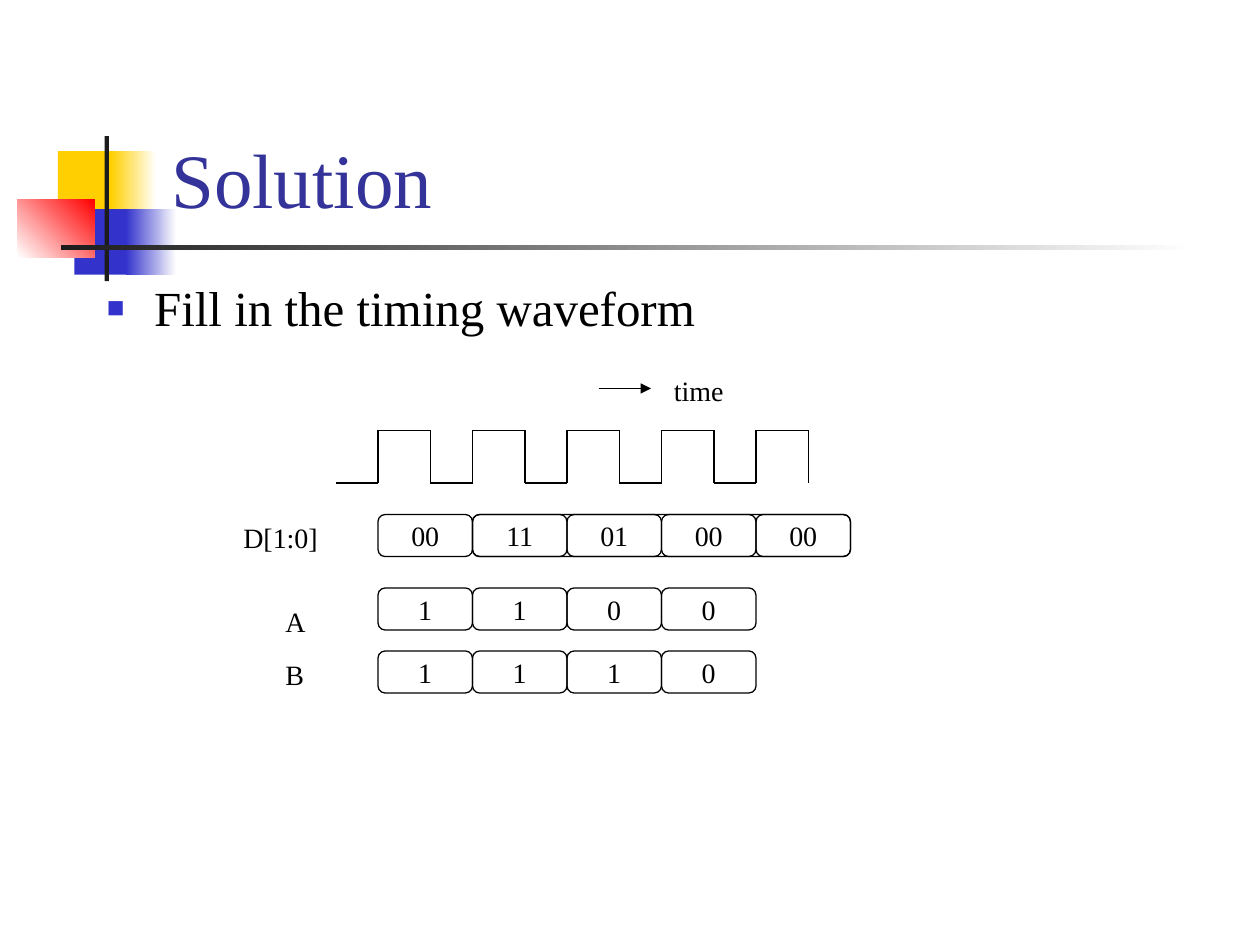
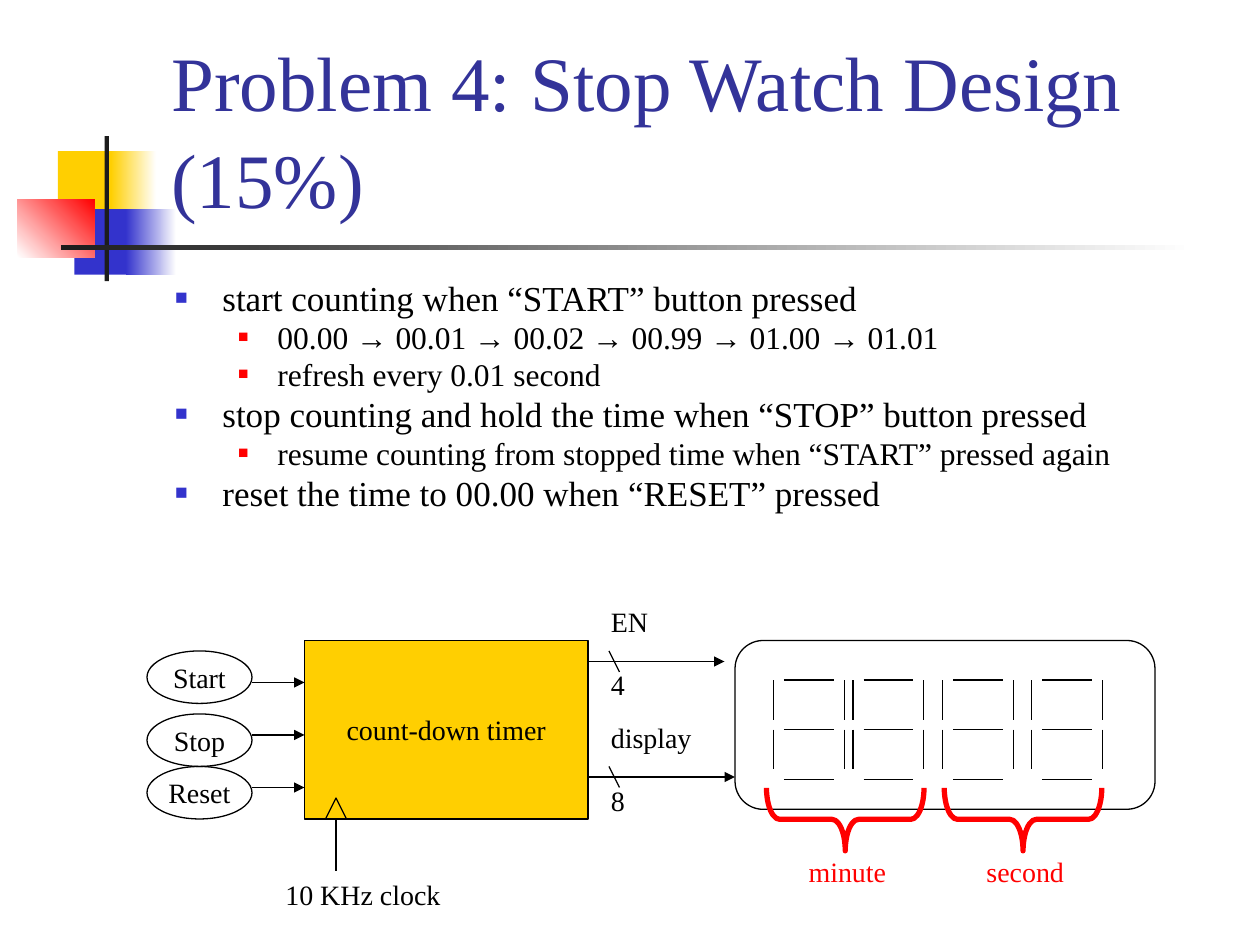
import itertools
import pptx
import pptx.util
import pptx.dml.color
import pptx.enum.shapes
import pptx.enum.text
import pptx.oxml.ns
import lxml.etree

Pt = pptx.util.Pt
Kind = pptx.enum.shapes.MSO_SHAPE
Align = pptx.enum.text.PP_ALIGN
Anchor = pptx.enum.text.MSO_ANCHOR
Fit = pptx.enum.text.MSO_AUTO_SIZE
qn = pptx.oxml.ns.qn

FONT = "Times New Roman"
HUES = {"ink": "000000", "title": "333399", "gold": "FFCF01", "blue": "3333CC",
        "red": "FF0000", "dark": "1C1C1C", "white": "FFFFFF"}

BANDS = [
    (33.1, 86.4, 34.6, 37.4, "gold", None, 0),
    (63.4, 86.4, 25.9, 37.4, "gold", "white", 0),
    (42.5, 119.5, 33.1, 37.4, "blue", None, 0),
    (72, 119.5, 28.8, 37.4, "blue", "white", 0),
    (10.1, 113.8, 43.9, 33.1, "white", "red", 45),
    (59.8, 77.8, 2.5, 82.8, "dark", None, 0),
    (34.6, 140.2, 648, 2.5, "dark", "white", 0),
]
BULLETS = [("blue", 60, 27, 27), ("red", 55, 58.5, 22.5)]

WAVE = {
    "title": "Solution",
    "body": [(0, 28, "Fill in the timing waveform")],
    "rows": [(294, ["00", "11", "01", "00", "00"]),
             (336, ["1", "1", "0", "0"]),
             (372, ["1", "1", "1", "0"])],
    "labels": [("D[1:0]", 132, 294, 57.6), ("A", 156, 342, 26),
               ("B", 156, 372, 25), ("time", 378, 210, 43.2)],
}
WATCH = {
    "title": "Problem 4: Stop Watch Design (15%)",
    "body": [
        (0, 20, "start counting when “START” button pressed"),
        (1, 18, "00.00 → 00.01 → 00.02 → 00.99 → 01.00 → 01.01"),
        (1, 18, "refresh every 0.01 second"),
        (0, 20, "stop counting and hold the time when “STOP” button pressed"),
        (1, 18, "resume counting from stopped time when “START” pressed again"),
        (0, 20, "reset the time to 00.00 when “RESET” pressed"),
    ],
    "keys": [("Start", 372, 390), ("Stop", 408, 420), ("Reset", 438, 450)],
    "buses": [("EN", 36, "4", 378, 414), ("display", 61.2, "8", 444, 420)],
    "units": [("minute", 465), ("second", 566.6)],
    "digits": [442, 487.5, 538.6, 589.6],
}


def rgb(hue):
    return pptx.dml.color.RGBColor.from_string(HUES[hue])


def write(frame, text, size=16, hue="ink", align=Align.LEFT, level=None, pitch=None):
    para = frame.paragraphs[0]
    if para.runs:
        para = frame.add_paragraph()
    para.alignment = align
    if pitch:
        para.line_spacing = pitch
    if level is not None:
        para.space_before = Pt(round(size * 0.23, 1))
        mark, scale, left, hang = BULLETS[level]
        props = para._p.get_or_add_pPr()
        props.set("lvl", str(level))
        props.set("marL", str(Pt(left)))
        props.set("indent", str(-Pt(hang)))
        tint = lxml.etree.SubElement(props, qn("a:buClr"))
        lxml.etree.SubElement(tint, qn("a:srgbClr"), val=HUES[mark])
        lxml.etree.SubElement(props, qn("a:buSzPct"), val=str(scale * 1000))
        lxml.etree.SubElement(props, qn("a:buFont"), typeface=FONT)
        lxml.etree.SubElement(props, qn("a:buChar"), char="■")
    run = para.add_run()
    run.text = text
    run.font.name = FONT
    run.font.size = Pt(size)
    run.font.color.rgb = rgb(hue)


def shape(slide, kind, x, y, w, h, fill=None, fade=None, angle=0, line="ink",
          weight=0.75, text=None, wrap=True):
    item = slide.shapes.add_shape(kind, Pt(x), Pt(y), Pt(w), Pt(h))
    item.shadow.inherit = False
    if fade:
        item.fill.gradient()
        item.fill.gradient_angle = angle
        for stop, hue in zip(item.fill.gradient_stops, (fill, fade)):
            stop.color.rgb = rgb(hue)
    elif fill:
        item.fill.solid()
        item.fill.fore_color.rgb = rgb(fill)
    else:
        item.fill.background()
    if line:
        item.line.color.rgb = rgb(line)
        item.line.width = Pt(weight)
    else:
        item.line.fill.background()
    if text:
        frame = item.text_frame
        frame.word_wrap = wrap
        frame.vertical_anchor = Anchor.MIDDLE
        write(frame, text, align=Align.CENTER)
    return item


def line(slide, x1, y1, x2, y2, arrow=False):
    item = slide.shapes.add_connector(
        pptx.enum.shapes.MSO_CONNECTOR.STRAIGHT, Pt(x1), Pt(y1), Pt(x2), Pt(y2))
    item.line.color.rgb = rgb("ink")
    item.line.width = Pt(0.75)
    if arrow:
        lxml.etree.SubElement(item.line._get_or_add_ln(), qn("a:tailEnd"), type="triangle")
    lxml.etree.SubElement(item._element.spPr, qn("a:effectLst"))


def label(slide, text, x, y, w, hue="ink"):
    frame = slide.shapes.add_textbox(Pt(x), Pt(y), Pt(w), Pt(26.6)).text_frame
    frame.word_wrap = False
    write(frame, text, hue=hue)


def start(deck, data, left, width, height, pitch):
    slide = deck.slides.add_slide(deck.slide_layouts[5])
    for x, y, w, h, fill, fade, angle in BANDS:
        shape(slide, Kind.RECTANGLE, x, y, w, h, fill, fade, angle, line=None)
    title = slide.shapes.title
    title.left, title.top, title.width, title.height = map(Pt, (90.7, 16.6, 613.4, 115.2))
    title.text_frame.auto_size = Fit.NONE
    title.text_frame.vertical_anchor = Anchor.BOTTOM
    write(title.text_frame, data["title"], size=44, hue="title", pitch=1.06)
    body = slide.shapes.add_textbox(Pt(left), Pt(159), Pt(width), Pt(height)).text_frame
    body.word_wrap = True
    for level, size, text in data["body"]:
        write(body, text, size=size, level=level, pitch=pitch)
    return slide


def draw_wave(deck):
    slide = start(deck, WAVE, 54, 651, 45.4, 0.9)
    left, step, high, low = 216, 54, 246, 276
    nodes = [(192, low)]
    for i in range(5):
        rise = left + i * step
        fall = rise + 30
        nodes += [(rise, low), (rise, high), (fall, high), (fall, low)]
    for a, b in itertools.pairwise(nodes):
        line(slide, *a, *b)
    shape(slide, Kind.ROUNDED_RECTANGLE, left + step, 294, 4 * step, 24)
    for y, bits in WAVE["rows"]:
        for i, bit in enumerate(bits):
            shape(slide, Kind.ROUNDED_RECTANGLE, left + i * step, y, step, 24, text=bit)
    for item in WAVE["labels"]:
        label(slide, *item)
    line(slide, 342, 222, 372, 222, arrow=True)


def draw_digit(slide, x):
    top, gap, wide = 388.6, 28.4, 40.4
    for i in range(3):
        line(slide, x + 6, top + i * gap, x + wide - 6, top + i * gap)
    for side, i in itertools.product((x, x + wide), range(2)):
        line(slide, side, top + i * gap, side, top + i * gap + 22.6)


def draw_watch(deck):
    slide = start(deck, WATCH, 93, 612, 159, 0.8)
    shape(slide, Kind.RECTANGLE, 174, 366, 162, 102, "gold",
          text="count-down timer", wrap=False)
    shape(slide, Kind.ISOSCELES_TRIANGLE, 186, 456, 12, 12)
    line(slide, 192, 468, 192, 498)
    label(slide, "10 KHz clock", 156, 498, 104.4)
    for name, w, bits, y, end in WATCH["buses"]:
        line(slide, 336, y, end, y, arrow=True)
        line(slide, 348, y - 6, 354, y + 6)
        label(slide, bits, 342, y, 22.3)
        label(slide, name, 342, y - 36, w)
    for x in WATCH["digits"]:
        draw_digit(slide, x)
    shape(slide, Kind.ROUNDED_RECTANGLE, 420, 366, 240, 96.5)
    for name, x in WATCH["units"]:
        brace = shape(slide, Kind.LEFT_BRACE, x, 423.2, 36, 90, line="red", weight=3)
        brace.rotation = 270
        brace.adjustments[0] = 0.21
        label(slide, name, x - 10, 484.6, 59, hue="red")
    for name, y, wire in WATCH["keys"]:
        shape(slide, Kind.OVAL, 84, y, 60, 30, text=name, wrap=False)
        line(slide, 144, wire, 174, wire, arrow=True)


def main():
    deck = pptx.Presentation()
    deck.slide_width, deck.slide_height = Pt(720), Pt(540)
    draw_wave(deck)
    draw_watch(deck)
    deck.save("out.pptx")


if __name__ == "__main__":
    main()
